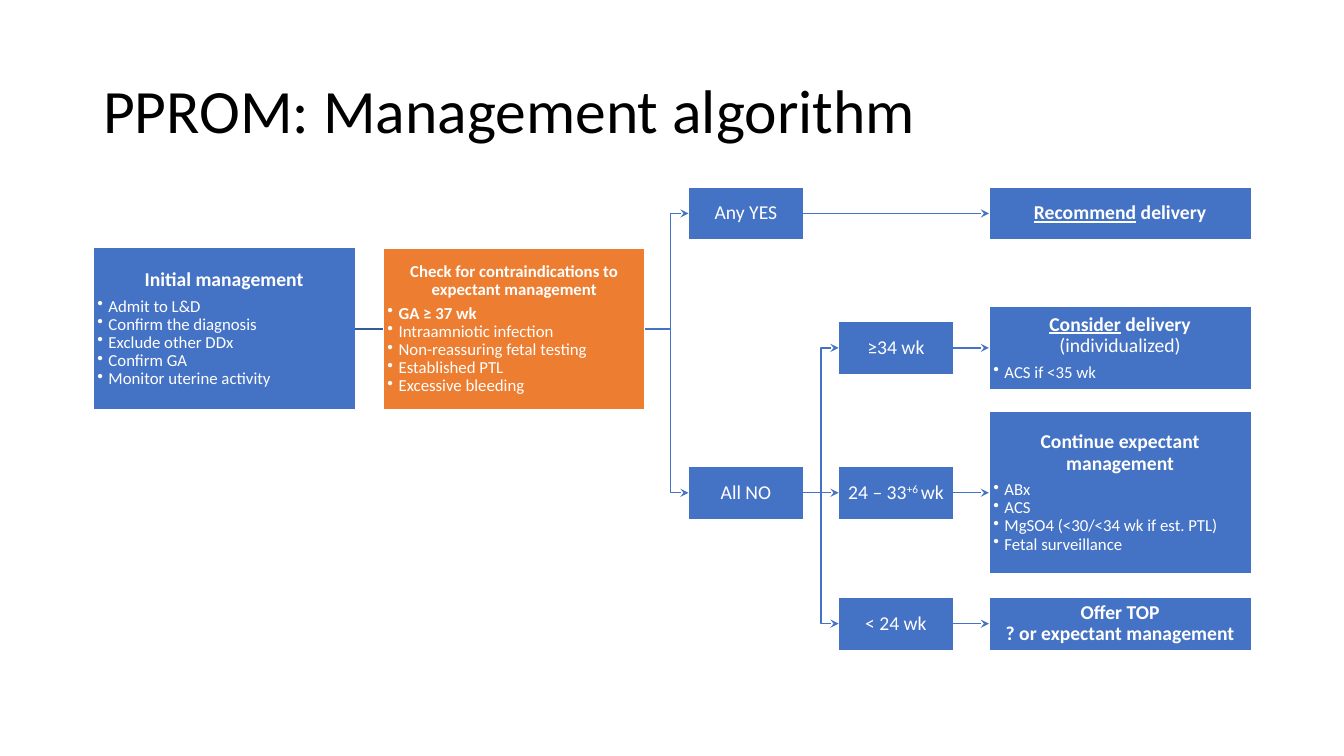
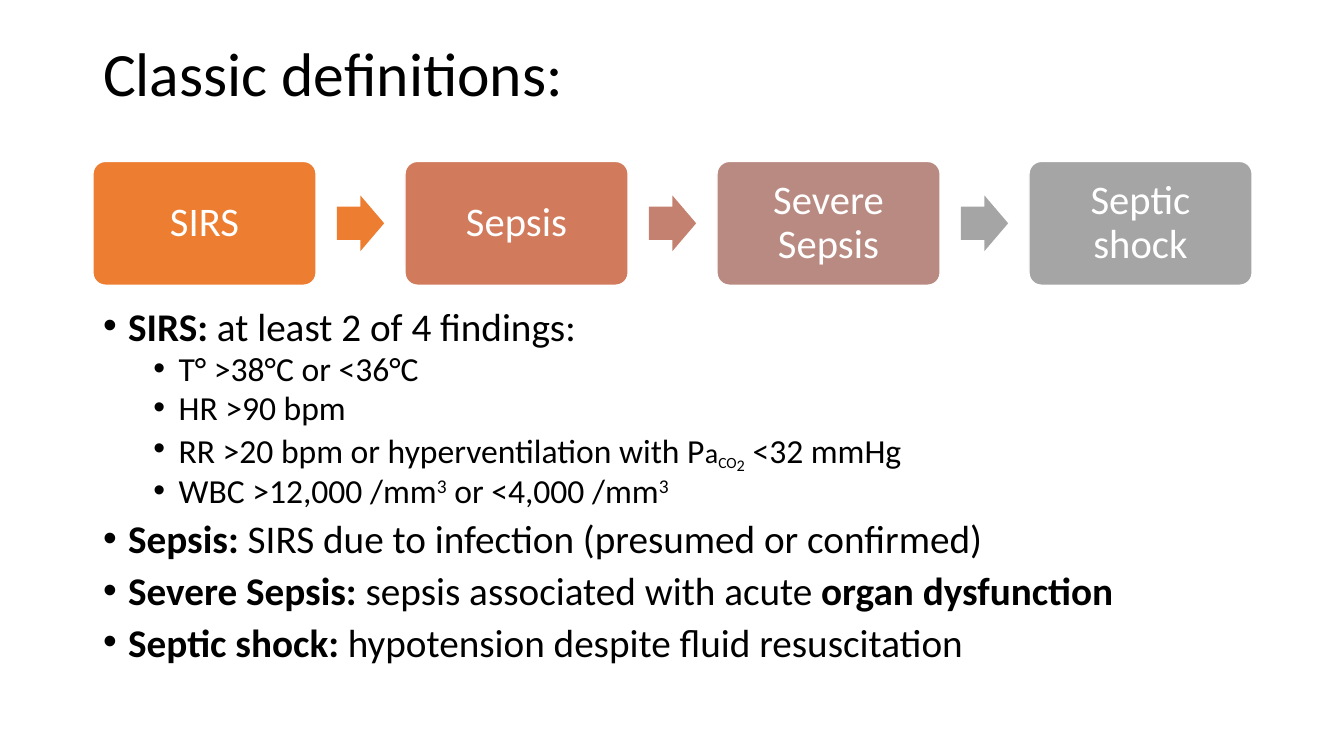
from lxml.etree import SubElement
from pptx import Presentation
from pptx.dml.color import RGBColor
from pptx.enum.shapes import MSO_CONNECTOR, MSO_SHAPE
from pptx.enum.text import MSO_ANCHOR, MSO_AUTO_SIZE, PP_ALIGN
from pptx.oxml.ns import qn
from pptx.util import Pt

BLACK = RGBColor(0x00, 0x00, 0x00)
WHITE = RGBColor(0xFF, 0xFF, 0xFF)
BLUE = RGBColor(0x44, 0x72, 0xC4)
NAVY = RGBColor(0x36, 0x5B, 0x9D)
ORANGE = RGBColor(0xED, 0x7D, 0x31)
CORAL = RGBColor(0xD1, 0x7B, 0x5C)
ROSE = RGBColor(0xC4, 0x81, 0x70)
MAUVE = RGBColor(0xB9, 0x8A, 0x82)
GREY = RGBColor(0xA5, 0xA5, 0xA5)

FACE = "Calibri"
LEFT, WIDTH = 66.4, 828
BOLD = {"bold": True}
PLAIN = {"bold": False}
LINED = {"underline": True}
SUPER = {"baseline": "30000"}


def write(para, bits):
    for bit in [bits] if isinstance(bits, str) else bits:
        text, look = (bit, {}) if isinstance(bit, str) else bit
        run = para.add_run()
        run.text = text
        for key, value in look.items():
            if key in ("baseline", "cap"):
                run._r.get_or_add_rPr().set(key, value)
            else:
                setattr(run.font, key, value)


def style(para, size, color, bold=False, spread=0.9, before=0, after=0):
    para.line_spacing = spread
    para.space_before = Pt(before)
    para.space_after = Pt(after)
    para.font.name = FACE
    para.font.size = Pt(size)
    para.font.bold = bold
    para.font.color.rgb = color


def bullet(para, left, hang):
    props = para._p.get_or_add_pPr()
    props.set("marL", str(Pt(left)))
    props.set("indent", str(-Pt(hang)))
    SubElement(props, qn("a:buChar")).set("char", "•")


def place(shape, left, top, width, height):
    shape.left, shape.top = Pt(left), Pt(top)
    shape.width, shape.height = Pt(width), Pt(height)


def head(slide, text, height):
    title = slide.shapes.title
    place(title, LEFT, 28.8, WIDTH, height)
    frame = title.text_frame
    frame.word_wrap = True
    frame.auto_size = MSO_AUTO_SIZE.NONE
    frame.vertical_anchor = MSO_ANCHOR.MIDDLE
    para = frame.paragraphs[0]
    write(para, text)
    para.alignment = PP_ALIGN.LEFT
    style(para, 44, BLACK)


def block(slide, kind, box, fill, edge=None, inset=0):
    shape = slide.shapes.add_shape(kind, *map(Pt, box))
    shape.shadow.inherit = False
    shape.fill.solid()
    shape.fill.fore_color.rgb = fill
    if edge:
        shape.line.color.rgb = WHITE
        shape.line.width = Pt(edge)
    else:
        shape.line.fill.background()
    frame = shape.text_frame
    frame.word_wrap = True
    frame.vertical_anchor = MSO_ANCHOR.MIDDLE
    frame.margin_left = frame.margin_right = Pt(inset)
    frame.margin_top = frame.margin_bottom = Pt(inset)
    return shape


def node(slide, col, mid, height, lines, items=(), size=14, fill=BLUE, edge=1):
    left, width = col
    box = (left, mid - height / 2, width, height)
    shape = block(slide, MSO_SHAPE.RECTANGLE, box, fill, edge, 0.7)
    frame = shape.text_frame
    for spot, bits in enumerate([*lines, *items]):
        para = frame.add_paragraph() if spot else frame.paragraphs[0]
        write(para, bits)
        if spot < len(lines):
            last = spot == len(lines) - 1
            para.alignment = PP_ALIGN.CENTER
            style(para, size, WHITE, width > 100,
                  after=size * 0.35 if last and items else 0)
        else:
            para.alignment = PP_ALIGN.LEFT
            bullet(para, 10.4, 8)
            style(para, 12, WHITE)
    return shape


def link(slide, start, end, color=BLUE, arrow=True, bend=50):
    level = abs(start.top + start.height / 2 - end.top - end.height / 2) < Pt(1)
    kind = MSO_CONNECTOR.STRAIGHT if level else MSO_CONNECTOR.ELBOW
    line = slide.shapes.add_connector(kind, 0, 0, 0, 0)
    line.begin_connect(start, 3)
    line.end_connect(end, 1)
    line.line.color.rgb = color
    line.line.width = Pt(1)
    props = line._element.spPr
    if not level:
        guide = SubElement(props.find(".//" + qn("a:avLst")), qn("a:gd"))
        guide.set("name", "adj1")
        guide.set("fmla", f"val {bend * 1000}")
    if arrow:
        SubElement(line.line._get_or_add_ln(), qn("a:tailEnd")).set("type", "stealth")
    SubElement(props, qn("a:effectLst"))


def flow(slide, left, top):
    first, check, fork, age, plan = [
        (left + move, width) for move, width in
        [(0, 187.4), (207.2, 187.4), (425.4, 82), (532.6, 82), (640, 187.4)]]
    rows = [top + move for move in (19, 115, 218.5, 312)]
    mid = top + 101.5
    tall, low = 116, 38

    begin = node(slide, first, mid, tall, ["Initial management"], [
        "Admit to L&D", "Confirm the diagnosis", "Exclude other DDx",
        "Confirm GA", "Monitor uterine activity"])
    test = node(slide, check, mid, tall,
                ["Check for contraindications to expectant management"],
                [[("GA ≥ 37 wk", BOLD)], "Intraamniotic infection",
                 "Non-reassuring fetal testing", "Established PTL",
                 "Excessive bleeding"], 12, ORANGE, 1.5)
    yes = node(slide, fork, rows[0], low, ["Any YES"])
    no = node(slide, fork, rows[2], low, ["All NO"])
    ages = [node(slide, age, row, low, [bits]) for row, bits in zip(rows[1:], [
        "≥34 wk", ["24 – 33", ("+6 ", SUPER), "wk"], "< 24 wk"])]
    plans = [node(slide, plan, row, *rest) for row, rest in zip(rows, [
        (low, [[("Recommend", LINED), " delivery"]]),
        (60, [[("Consider", LINED), " delivery"], [("(individualized)", PLAIN)]],
         ["ACS if <35 wk"]),
        (tall, ["Continue expectant management"],
         ["ABx", "ACS", "MgSO4 (<30/<34 wk if est. PTL)", "Fetal surveillance"]),
        (low, ["Offer TOP", "? or expectant management"])])]

    link(slide, begin, test, NAVY, False)
    for end in (yes, no):
        link(slide, test, end, bend=58)
    for end in ages:
        link(slide, no, end)
    for start, end in zip([yes, *ages], plans):
        link(slide, start, end)


def chain(slide, left, top, width, height):
    steps = [("SIRS", ORANGE, ORANGE), ("Sepsis", CORAL, ROSE),
             ("Severe Sepsis", MAUVE, GREY), ("Septic shock", GREY, None)]
    wide = 159.4
    gap = (width - wide * len(steps)) / (len(steps) - 1)
    long, tall = 33.8, 39.6
    for spot, (text, fill, tint) in enumerate(steps):
        x = left + spot * (wide + gap)
        card = block(slide, MSO_SHAPE.ROUNDED_RECTANGLE,
                     (x, top, wide, height), fill, 1, 11.2)
        card.adjustments[0] = 0.1
        para = card.text_frame.paragraphs[0]
        write(para, text)
        para.alignment = PP_ALIGN.CENTER
        style(para, 29, WHITE)
        if tint:
            box = (x + wide + (gap - long) / 2, top + (height - tall) / 2, long, tall)
            arrow = block(slide, MSO_SHAPE.RIGHT_ARROW, box, tint)
            arrow.adjustments[0] = 0.6
            arrow.adjustments[1] = 0.5


def terms(slide, *box):
    lines = [
        (0, [("SIRS:", BOLD), " at least 2 of 4 findings:"]),
        (1, "T° >38°C or <36°C"),
        (1, "HR >90 bpm"),
        (1, ["RR >20 bpm or hyperventilation with P", ("a", {"size": Pt(20)}),
             ("co", {"baseline": "-15000", "cap": "small"}),
             ("2", {"size": Pt(20), "baseline": "-30000"}), " <32 mmHg"]),
        (1, ["WBC >12,000 /mm", ("3", SUPER), " or <4,000 /mm", ("3", SUPER)]),
        (0, [("Sepsis:", BOLD), " SIRS due to infection (presumed or confirmed)"]),
        (0, [("Severe Sepsis: ", BOLD), "sepsis associated with acute ",
             ("organ dysfunction", BOLD)]),
        (0, [("Septic shock: ", BOLD), "hypotension despite fluid resuscitation"]),
    ]
    body = slide.placeholders[1]
    place(body, *box)
    frame = body.text_frame
    frame.word_wrap = True
    frame.auto_size = MSO_AUTO_SIZE.NONE
    for spot, (level, bits) in enumerate(lines):
        para = frame.add_paragraph() if spot else frame.paragraphs[0]
        para.level = level
        write(para, bits)
        bullet(para, 18 + 36 * level, 18)
        before = (5 if level else 10) if spot else 0
        style(para, 24 if level else 28, BLACK, spread=0.8, before=before)


def main():
    deck = Presentation()
    deck.slide_width, deck.slide_height = Pt(960), Pt(540)

    slide = deck.slides.add_slide(deck.slide_layouts[5])
    head(slide, "PPROM: Management algorithm", 104.4)
    flow(slide, LEFT, 133.5)

    slide = deck.slides.add_slide(deck.slide_layouts[1])
    head(slide, "Classic definitions:", 52)
    chain(slide, LEFT, 115.3, WIDTH, 88.4)
    terms(slide, LEFT, 218.7, WIDTH, 268)

    deck.save("out.pptx")


if __name__ == "__main__":
    main()
